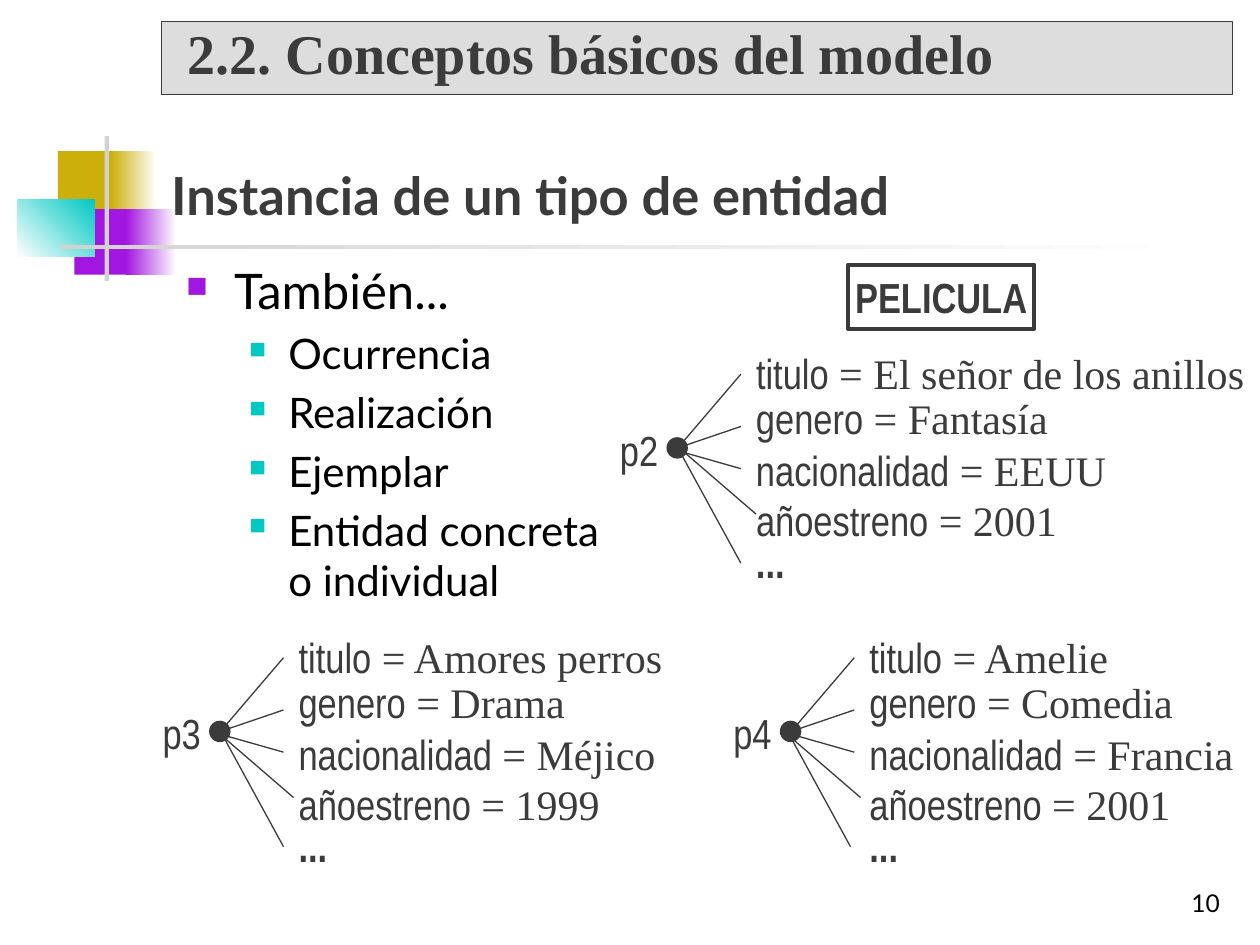
import pptx
import pptx.dml.color
import pptx.enum.shapes
import pptx.enum.text
import pptx.oxml.ns
import pptx.util
from lxml import etree

SHAPES = pptx.enum.shapes.MSO_SHAPE
ALIGN = pptx.enum.text.PP_ALIGN
ANCHOR = pptx.enum.text.MSO_ANCHOR
GROW = pptx.enum.text.MSO_AUTO_SIZE.SHAPE_TO_FIT_TEXT

# The slide is a grid of 100 columns by 75 rows of square cells
COLUMNS, ROWS = 100, 75
CELL = pptx.util.Inches(0.1)

INK, BLACK, WHITE, GREY = "3B3B3B", "000000", "FFFFFF", "D4D2D0"
GOLD, PURPLE, TEAL = "CCAF0A", "A116E0", "00C8C3"

LABEL = {"name": "Arial Narrow", "size": 24, "color": INK}
LABEL_BOLD = {**LABEL, "bold": True}
VALUE = {**LABEL, "name": "Times New Roman"}
HEADING = {**VALUE, "size": 32, "bold": True}
TITLE = {"name": "Lato", "size": 30, "color": INK, "bold": True}
TOPIC = {"name": "Lato", "size": 28, "color": BLACK}
SUBTOPIC = {**TOPIC, "size": 24}
NUMBER = {**TOPIC, "size": 14}

TIGHT = {f"margin_{side}": pptx.util.Inches(0.04)
         for side in ("left", "top", "right", "bottom")}
FITTED = {**TIGHT, "word_wrap": False, "auto_size": GROW}

# Rows of the attributes, counted from the top of an instance
ATTRIBUTE_ROWS = (0, 3.55, 7.7, 11.65)
ATTRIBUTES = ("titulo", "genero", "nacionalidad", "añoestreno")
# Spare columns that keep each attribute on one line
SLACK = 0.4

# name, column, row, shift of the year's line, (value, width) of each attribute
INSTANCES = (
    ("p2", 59.6, 27.2, 0.4, (("El señor de los anillos", 39.5), ("Fantasía", 24),
                             ("EEUU", 28.6), ("2001", 24.7))),
    ("p4", 68.6, 49.7, -0.3, (("Amelie", 19.9), ("Comedia", 24.9),
                              ("Francia", 29.7), ("2001", 24.7))),
    ("p3", 23.3, 49.7, 0, (("Amores perros", 29.9), ("Drama", 21.9),
                           ("Méjico", 29.2), ("1999", 24.7))),
)


def cells(*counts):
    return [round(count * CELL) for count in counts]


def rgb(color):
    return pptx.dml.color.RGBColor.from_string(color)


def assign(target, values):
    for name, value in values.items():
        setattr(target, name, value)


def add_span(para, text, style):
    span = para.add_run()
    span.text = text
    values = {**style, "size": pptx.util.Pt(style["size"])}
    span.font.color.rgb = rgb(values.pop("color"))
    assign(span.font, values)


def write(para, spans, **layout):
    assign(para, layout)
    for text, style in spans:
        add_span(para, text, style)


def add_text(parent, area, spans, frame=None, **layout):
    box = parent.shapes.add_textbox(*cells(*area))
    assign(box.text_frame, {"word_wrap": True, **(frame or {})})
    write(box.text_frame.paragraphs[0], spans, **layout)
    return box


def add_block(parent, area, fill, line=None, width=0.75, kind=SHAPES.RECTANGLE):
    block = parent.shapes.add_shape(kind, *cells(*area))
    block.shadow.inherit = False
    block.fill.solid()
    block.fill.fore_color.rgb = rgb(fill)
    if line:
        block.line.color.rgb = rgb(line)
        block.line.width = pptx.util.Pt(width)
    else:
        block.line.fill.background()
    return block


def add_fade(parent, area, start, end, angle=0):
    block = add_block(parent, area, start)
    block.fill.gradient()
    block.fill.gradient_angle = angle
    for stop, color in zip(block.fill.gradient_stops, (start, end)):
        stop.color.rgb = rgb(color)


def add_line(parent, start, end):
    line = parent.shapes.add_connector(
        pptx.enum.shapes.MSO_CONNECTOR.STRAIGHT, *cells(*start, *end))
    line.line.color.rgb = rgb(INK)
    line.line.width = pptx.util.Pt(0.75)
    etree.SubElement(line._element.spPr, pptx.oxml.ns.qn("a:effectLst"))


def indent(para, left, hanging):
    properties = para._p.get_or_add_pPr()
    properties.set("marL", str(pptx.util.Inches(left)))
    properties.set("indent", str(-pptx.util.Inches(hanging)))
    return properties


def add_bullet(para, color, share, left, hanging):
    properties = indent(para, left, hanging)
    tint = etree.SubElement(properties, pptx.oxml.ns.qn("a:buClr"))
    etree.SubElement(tint, pptx.oxml.ns.qn("a:srgbClr"), val=color)
    etree.SubElement(properties, pptx.oxml.ns.qn("a:buSzPct"), val=str(share * 1000))
    etree.SubElement(properties, pptx.oxml.ns.qn("a:buChar"), char="■")


def add_ornament(page):
    add_block(page, (4.6, 12, 4.8, 5.2), GOLD)
    add_fade(page, (8.8, 12, 3.6, 5.2), GOLD, WHITE)
    add_block(page, (5.9, 16.6, 4.6, 5.2), PURPLE)
    add_fade(page, (10, 16.6, 4, 5.2), PURPLE, WHITE)
    add_fade(page, (1.4, 15.8, 6.1, 4.6), WHITE, TEAL, angle=45)
    add_block(page, (8.3, 10.8, 0.35, 11.5), GREY)
    add_fade(page, (4.8, 19.45, 90, 0.35), GREY, WHITE)


def add_topics(page, topic, subtopics):
    box = add_text(page, (13.8, 20.2, 36.3, 26.3), [(topic, TOPIC)])
    add_bullet(box.text_frame.paragraphs[0], PURPLE, 60, 0.38, 0.38)
    for subtopic in subtopics:
        para = box.text_frame.add_paragraph()
        write(para, [(subtopic, SUBTOPIC)], level=1, space_before=pptx.util.Pt(4.8))
        add_bullet(para, TEAL, 55, 0.81, 0.31)


def add_instance(page, name, column, row, shift, values):
    group = page.shapes.add_group_shape()
    for label, step, (value, width) in zip(ATTRIBUTES, ATTRIBUTE_ROWS, values):
        add_text(group, (column, row + step, width + SLACK, 4.8),
                 [(label, LABEL), (f" = {value}", VALUE)], FITTED)
    add_text(group, (column, row + 15, 3.1, 4.8), [("...", LABEL_BOLD)], FITTED)
    add_text(group, (column - 10.8, row + 6.05, 5.8, 4.8), [(name, LABEL)], TIGHT)

    # Dot and the lines that fan out from it to the attributes
    add_block(group, (column - 6.65, row + 7.55, 1.6, 1.6), INK, INK, kind=SHAPES.OVAL)
    last = min(shift, 0)
    fan = (((-5.8, 8.35), (-0.8, 2.5)),
           ((-5.8, 8.35), (-0.8, 6.65)),
           ((-6.6, 8.35), (-0.8, 10)),
           ((shift - 5.8, 8.6), (shift, 13.6)),
           ((last - 5.8, 8.35), (last - 0.8, 17.5)))
    for ends in fan:
        add_line(group, *((column + across, row + down) for across, down in ends))


def add_entity(page, name):
    box = add_block(page, (67.3, 21, 14.8, 5.1), WHITE, INK, 2.25)
    assign(box.text_frame, {**FITTED, "vertical_anchor": ANCHOR.MIDDLE})
    write(box.text_frame.paragraphs[0], [(name, LABEL_BOLD)], alignment=ALIGN.CENTER)


def add_heading(page, text):
    banner = add_block(page, (12.8, 1.7, 85, 5.8), "DDDDDD", INK)
    assign(banner.text_frame, {"word_wrap": True, "vertical_anchor": ANCHOR.MIDDLE})
    para = banner.text_frame.paragraphs[0]
    write(para, [(text, HEADING)], alignment=ALIGN.LEFT, line_spacing=0.8)
    indent(para, 0.73, 0.73)


def main():
    deck = pptx.Presentation()
    deck.slide_width, deck.slide_height = cells(COLUMNS, ROWS)
    page = deck.slides.add_slide(deck.slide_layouts[6])
    bottom = {"vertical_anchor": ANCHOR.BOTTOM}

    # Background and page number
    add_ornament(page)
    add_text(page, (77, 68.3, 20.8, 5), [("10", NUMBER)], bottom, alignment=ALIGN.RIGHT)

    # Title and topics
    add_text(page, (12.6, 10.9, 85.2, 7.5),
             [("Instancia de un tipo de entidad", TITLE)], bottom)
    add_topics(page, "También...", ("Ocurrencia", "Realización", "Ejemplar",
                                    "Entidad concreta o individual"))

    # Entity type and its instances
    add_entity(page, "PELICULA")
    for instance in INSTANCES:
        add_instance(page, *instance)

    add_heading(page, " 2.2. Conceptos básicos del modelo")
    deck.save("out.pptx")


if __name__ == "__main__":
    main()
